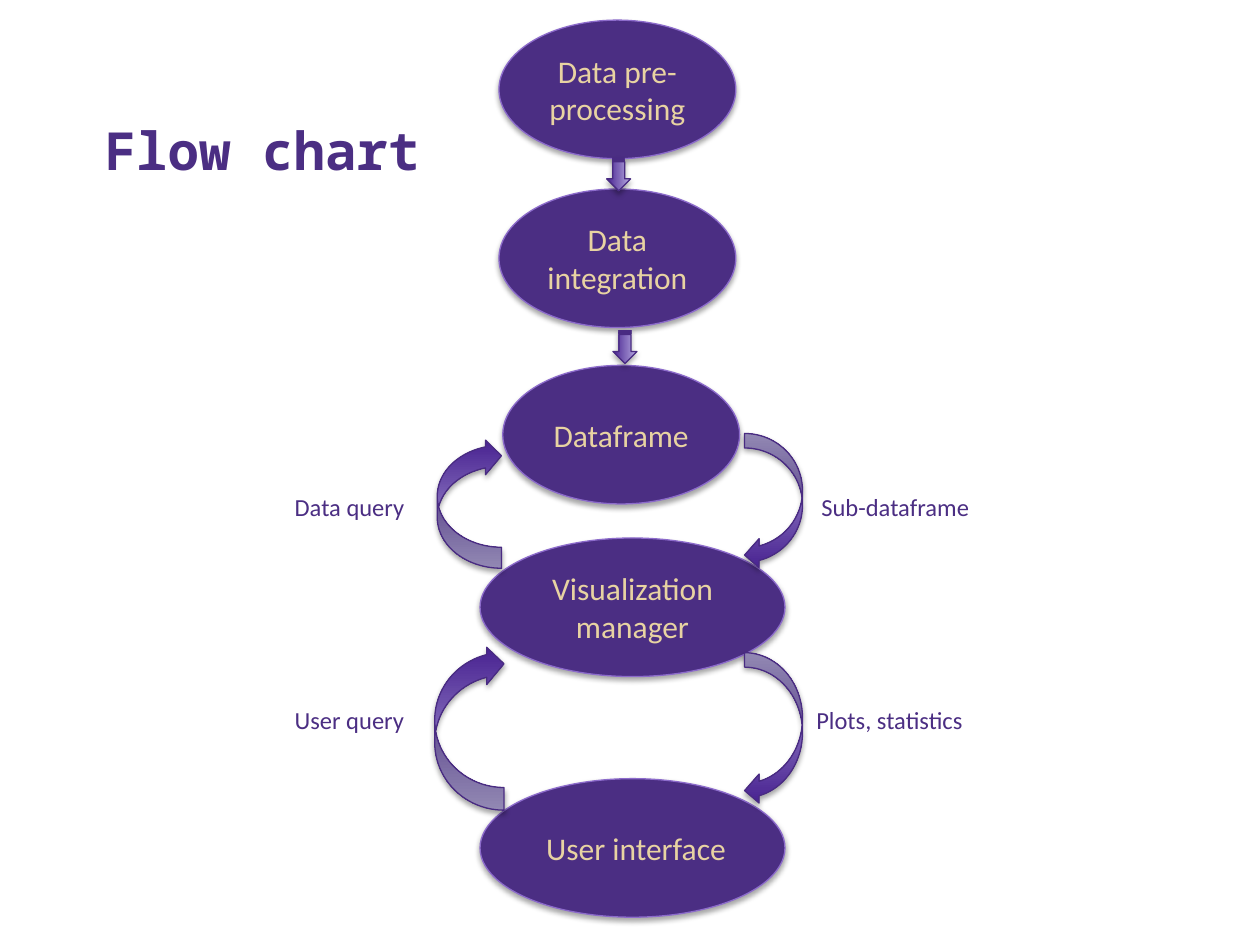
import dataclasses
import typing

import lxml.etree
import pptx
import pptx.dml.color
import pptx.enum.shapes
import pptx.enum.text
import pptx.oxml.ns
import pptx.util

Inches = pptx.util.Inches
Kind = pptx.enum.shapes.MSO_SHAPE
Color = pptx.dml.color.RGBColor.from_string


@dataclasses.dataclass(frozen=True)
class Theme:
    purple: str = "4B2E83"
    gold: str = "E8D3A2"
    stage_line: str = "8C6BCB"
    arrow_line: str = "492B82"
    arrow_dark: str = "472190"
    arrow_light: str = "B7ABE0"
    title_font: str = "Noto Sans Mono"
    body_font: str = "Calibri"
    title_size: int = 30
    stage_size: int = 18
    label_size: int = 14
    line_width: float = 0.75


@dataclasses.dataclass(frozen=True)
class Stage:
    text: str
    left: float
    top: float
    width: float
    height: float = 1.1


@dataclasses.dataclass(frozen=True)
class Arrow:
    kind: Kind
    left: float
    top: float
    width: float
    height: float
    rotation: int = 0
    adjustments: tuple[float, ...] = ()


@dataclasses.dataclass(frozen=True)
class Label:
    text: str
    left: float
    top: float
    width: float


THEME = Theme()
QUERY_BEND = (0.327, 0.538, 0.25)
QUERY_TOP, RESULT_TOP = 3.86, 5.55

STAGES = (
    Stage("Data pre-processing", 3.96, 0.16, 1.88),
    Stage("Data integration", 3.96, 1.5, 1.88),
    Stage("Dataframe", 3.99, 2.9, 1.88),
    Stage("Visualization manager", 3.81, 4.27, 2.42),
    Stage(" User interface", 3.81, 6.18, 2.42),
)
ARROWS = (
    Arrow(Kind.STRIPED_RIGHT_ARROW, 4.78, 1.29, 0.26, 0.19, 90),
    Arrow(Kind.STRIPED_RIGHT_ARROW, 4.83, 2.66, 0.26, 0.19, 90),
    Arrow(Kind.CURVED_LEFT_ARROW, 5.91, 3.44, 0.46, 1.08),
    Arrow(Kind.CURVED_LEFT_ARROW, 5.91, 5.18, 0.46, 1.21),
    Arrow(Kind.CURVED_LEFT_ARROW, 3.47, 3.48, 0.51, 1.03, 180, QUERY_BEND),
    Arrow(Kind.CURVED_LEFT_ARROW, 3.45, 5.12, 0.55, 1.31, 180, QUERY_BEND),
)
LABELS = (
    Label("Data query", 2.24, QUERY_TOP, 1.08),
    Label("Sub-dataframe", 6.42, QUERY_TOP, 1.38),
    Label("User query", 2.24, RESULT_TOP, 1.08),
    Label("Plots, statistics", 6.38, RESULT_TOP, 1.38),
)


def style_font(para: typing.Any, name: str, size: int, color: str) -> None:
    para.font.name = name
    para.font.size = pptx.util.Pt(size)
    para.font.color.rgb = Color(color)


def add_outlined_shape(
    page: typing.Any, kind: Kind, item: Stage | Arrow, line: str
) -> typing.Any:
    shape = page.shapes.add_shape(
        kind, Inches(item.left), Inches(item.top), Inches(item.width), Inches(item.height)
    )
    shape.line.color.rgb = Color(line)
    shape.line.width = pptx.util.Pt(THEME.line_width)
    return shape


def cast_shadow(shape: typing.Any) -> None:
    shape.shadow.inherit = False
    qn = pptx.oxml.ns.qn
    effects = shape.element.spPr.find(qn("a:effectLst"))
    shadow = lxml.etree.SubElement(
        effects,
        qn("a:outerShdw"),
        blurRad=str(pptx.util.Pt(3.1)),
        dist=str(pptx.util.Pt(1.8)),
        dir="5400000",
        rotWithShape="0",
    )
    color = lxml.etree.SubElement(shadow, qn("a:srgbClr"), val="000000")
    lxml.etree.SubElement(color, qn("a:alpha"), val="35000")


def draw_stage(page: typing.Any, stage: Stage) -> None:
    shape = add_outlined_shape(page, Kind.OVAL, stage, THEME.stage_line)
    shape.fill.solid()
    shape.fill.fore_color.rgb = Color(THEME.purple)
    cast_shadow(shape)
    frame = shape.text_frame
    frame.text = stage.text
    frame.vertical_anchor = pptx.enum.text.MSO_ANCHOR.MIDDLE
    para = frame.paragraphs[0]
    para.alignment = pptx.enum.text.PP_ALIGN.CENTER
    style_font(para, THEME.body_font, THEME.stage_size, THEME.gold)


def draw_arrow(page: typing.Any, arrow: Arrow) -> None:
    shape = add_outlined_shape(page, arrow.kind, arrow, THEME.arrow_line)
    shape.rotation = arrow.rotation
    for index, value in enumerate(arrow.adjustments):
        shape.adjustments[index] = value
    shape.fill.gradient()
    shape.fill.gradient_angle = 90
    for stop, color in zip(shape.fill.gradient_stops, (THEME.arrow_dark, THEME.arrow_light)):
        stop.color.rgb = Color(color)
    cast_shadow(shape)


def draw_label(page: typing.Any, label: Label) -> None:
    box = page.shapes.add_textbox(
        Inches(label.left), Inches(label.top), Inches(label.width), Inches(0.34)
    )
    frame = box.text_frame
    frame.word_wrap = False
    frame.auto_size = pptx.enum.text.MSO_AUTO_SIZE.SHAPE_TO_FIT_TEXT
    frame.text = label.text
    style_font(frame.paragraphs[0], THEME.body_font, THEME.label_size, THEME.purple)


def write_title(page: typing.Any, text: str) -> None:
    title = page.shapes.title
    title.left, title.top = Inches(0.73), Inches(0.41)
    title.width, title.height = Inches(8.95), Inches(1.08)
    frame = title.text_frame
    frame.text = text
    frame.auto_size = pptx.enum.text.MSO_AUTO_SIZE.NONE
    frame.vertical_anchor = pptx.enum.text.MSO_ANCHOR.BOTTOM
    para = frame.paragraphs[0]
    para.alignment = pptx.enum.text.PP_ALIGN.LEFT
    style_font(para, THEME.title_font, THEME.title_size, THEME.purple)
    para.font.bold = True


def main() -> None:
    deck = pptx.Presentation()
    deck.slide_width, deck.slide_height = Inches(10), Inches(7.5)
    page = deck.slides.add_slide(deck.slide_layouts.get_by_name("Title Only"))
    write_title(page, "Flow chart")
    for stage in STAGES:
        draw_stage(page, stage)
    for arrow in ARROWS:
        draw_arrow(page, arrow)
    for label in LABELS:
        draw_label(page, label)
    deck.save("out.pptx")


if __name__ == "__main__":
    main()
